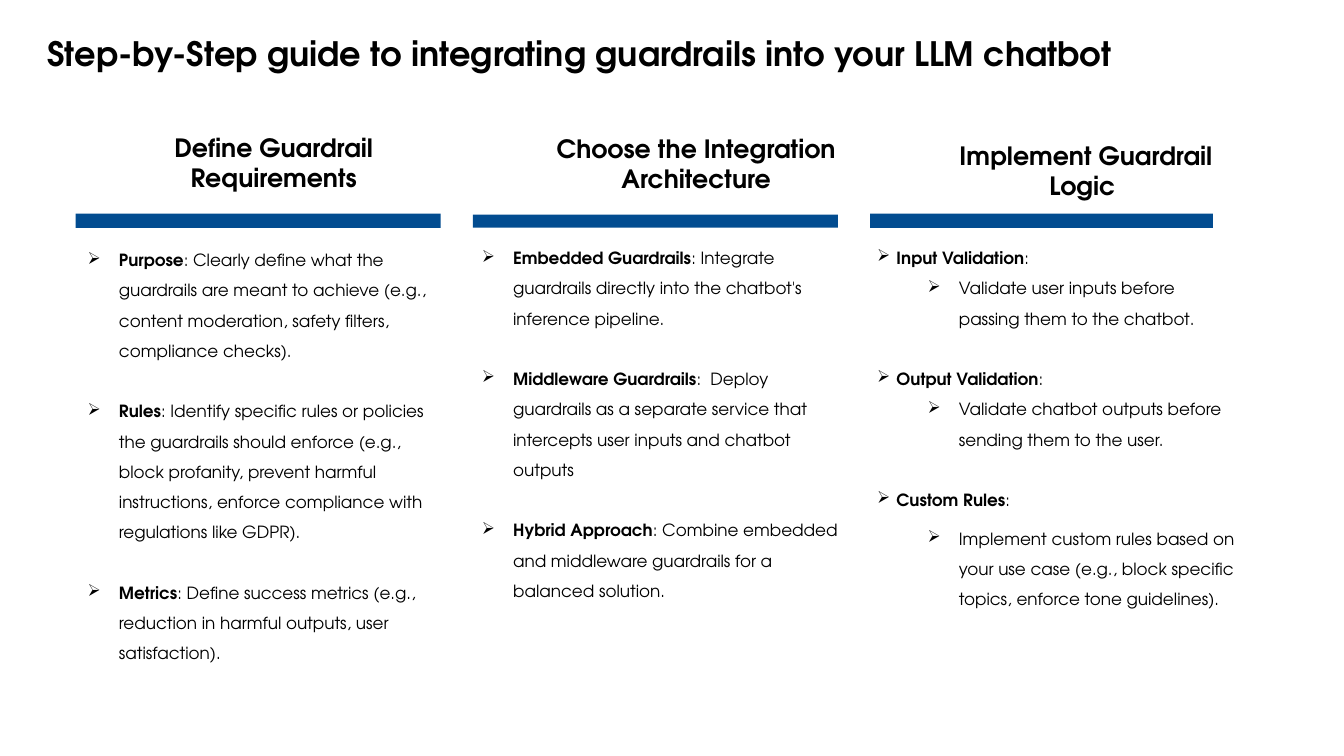
from dataclasses import dataclass

from lxml import etree
from pptx import Presentation
from pptx.dml.color import RGBColor
from pptx.enum.shapes import MSO_SHAPE
from pptx.enum.text import MSO_ANCHOR, MSO_AUTO_SIZE, PP_ALIGN
from pptx.oxml.ns import qn
from pptx.util import Inches, Pt

RECTANGLE = MSO_SHAPE.RECTANGLE
LEFT, CENTER = PP_ALIGN.LEFT, PP_ALIGN.CENTER
TOP, MIDDLE = MSO_ANCHOR.TOP, MSO_ANCHOR.MIDDLE
NO_FIT, GROW = MSO_AUTO_SIZE.NONE, MSO_AUTO_SIZE.SHAPE_TO_FIT_TEXT


@dataclass(frozen=True)
class Theme:
    font: str = "TeX Gyre Adventor"
    ink: RGBColor = RGBColor(0x00, 0x00, 0x00)
    bar: RGBColor = RGBColor(0x02, 0x4C, 0x90)
    title_size: float = 24
    heading_size: float = 18
    body_size: float = 12
    body_spacing: float = 1.5
    item_gap: float = 21.6  # one body line


@dataclass(frozen=True)
class Frame:
    left: float
    top: float
    width: float
    height: float

    def lengths(self) -> list:
        return [Inches(side) for side in (self.left, self.top, self.width, self.height)]


@dataclass(frozen=True)
class Item:
    label: str = ""
    text: str = ""
    level: int = 0
    gap: float = 0


@dataclass(frozen=True)
class Column:
    heading: str
    heading_frame: Frame
    bar_frame: Frame
    body_frame: Frame
    items: tuple
    hang: float = 0.31


THEME = Theme()
GAP = THEME.item_gap
SUB_MARGIN, SUB_HANG = 0.81, 0.31

COLUMNS = (
    Column(
        "Define Guardrail Requirements",
        Frame(1.2, 1.26, 3.03, 0.71),
        Frame(0.75, 2.12, 3.62, 0.14),
        Frame(0.87, 2.38, 3.46, 4.2),
        (
            Item("Purpose", ": Clearly define what the guardrails are meant to achieve "
                 "(e.g., content moderation, safety filters, compliance checks)."),
            Item("Rules", ": Identify specific rules or policies the guardrails should "
                 "enforce (e.g., block profanity, prevent harmful instructions, enforce "
                 "compliance with regulations like GDPR).", gap=GAP),
            Item("Metrics", ": Define success metrics (e.g., reduction in harmful "
                 "outputs, user satisfaction).", gap=GAP),
        ),
    ),
    Column(
        "Choose the Integration Architecture",
        Frame(5.34, 1.27, 3.13, 0.71),
        Frame(4.69, 2.13, 3.62, 0.13),
        Frame(4.78, 2.36, 3.6, 3.6),
        (
            Item("Embedded Guardrails", ": Integrate guardrails directly into the "
                 "chatbot's inference pipeline."),
            Item("Middleware Guardrails", ":  Deploy guardrails as a separate service "
                 "that intercepts user inputs and chatbot outputs", gap=GAP),
            Item("Hybrid Approach", ": Combine embedded and middleware guardrails for "
                 "a balanced solution.", gap=GAP),
        ),
    ),
    Column(
        " Implement Guardrail Logic",
        Frame(9.25, 1.34, 2.97, 0.71),
        Frame(8.63, 2.12, 3.4, 0.14),
        Frame(8.7, 2.36, 3.58, 3.68),
        (
            Item("Input Validation", ":"),
            Item(text="Validate user inputs before passing them to the chatbot.", level=1),
            Item("Output Validation", ":", gap=GAP),
            Item(text="Validate chatbot outputs before sending them to the user.", level=1),
            Item("Custom Rules", ":", gap=GAP),
            Item(text="Implement custom rules based on your use case (e.g., block "
                 "specific topics, enforce tone guidelines).", level=1, gap=6),
        ),
        hang=0.19,
    ),
)


def add_box(page, frame: Frame, *, anchor=TOP, fit=GROW, inset: bool = True):
    """Add an empty text box and return its text frame."""
    text_frame = page.shapes.add_textbox(*frame.lengths()).text_frame
    text_frame.word_wrap = True
    text_frame.auto_size = fit
    text_frame.vertical_anchor = anchor
    if not inset:
        text_frame.margin_left = text_frame.margin_right = 0
        text_frame.margin_top = text_frame.margin_bottom = 0
    return text_frame


def add_text(para, text: str, *, size: float, bold: bool = False) -> None:
    span = para.add_run()
    span.text = text
    span.font.name = THEME.font
    span.font.size = Pt(size)
    span.font.bold = bold
    span.font.color.rgb = THEME.ink


def add_line(page, text: str, frame: Frame, *, size: float, align=LEFT,
             spacing: float = 1.0, fit=GROW) -> None:
    """Add a box holding one bold paragraph."""
    para = add_box(page, frame, fit=fit).paragraphs[0]
    para.alignment = align
    para.line_spacing = spacing
    add_text(para, text, size=size, bold=True)


def set_bullet(para, margin: float, hang: float) -> None:
    properties = para._p.get_or_add_pPr()
    properties.set("marL", str(Inches(margin)))
    properties.set("indent", str(-Inches(hang)))
    etree.SubElement(properties, qn("a:buChar")).set("char", "➢")


def add_bar(page, frame: Frame) -> None:
    bar = page.shapes.add_shape(RECTANGLE, *frame.lengths())
    bar.shadow.inherit = False
    bar.fill.solid()
    bar.fill.fore_color.rgb = THEME.bar
    bar.line.fill.background()


def add_items(page, column: Column) -> None:
    body = add_box(page, column.body_frame, anchor=MIDDLE, inset=False)
    for index, item in enumerate(column.items):
        para = body.add_paragraph() if index else body.paragraphs[0]
        para.level = item.level
        if item.level:
            set_bullet(para, SUB_MARGIN, SUB_HANG)
        else:
            set_bullet(para, column.hang, column.hang)
        para.line_spacing = THEME.body_spacing
        if item.gap:
            para.space_before = Pt(item.gap)
        if item.label:
            add_text(para, item.label, size=THEME.body_size, bold=True)
        add_text(para, item.text, size=THEME.body_size)


def main() -> None:
    deck = Presentation()
    deck.slide_width, deck.slide_height = Inches(13.33), Inches(7.5)
    page = deck.slides.add_slide(deck.slide_layouts[6])

    # Title
    add_line(page, "Step-by-Step guide to integrating guardrails into your LLM chatbot",
             Frame(0.37, 0.32, 11.13, 0.38), size=THEME.title_size, spacing=0.9, fit=NO_FIT)

    # Three steps: bar, heading and bullet list
    for column in COLUMNS:
        add_bar(page, column.bar_frame)
        add_line(page, column.heading, column.heading_frame,
                 size=THEME.heading_size, align=CENTER)
        add_items(page, column)

    deck.save("out.pptx")


if __name__ == "__main__":
    main()
